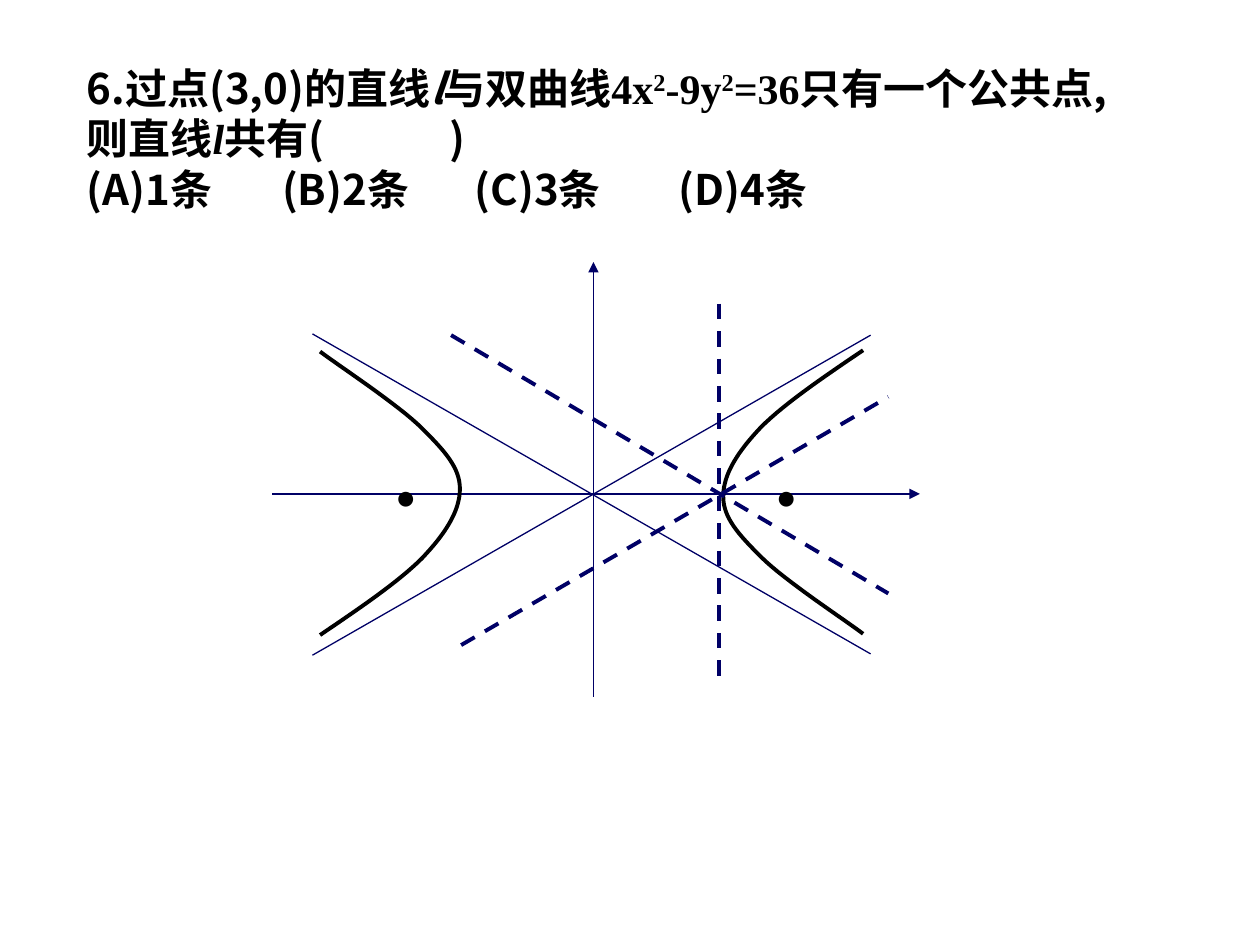
from lxml import etree
from pptx import Presentation
from pptx.dml.color import RGBColor
from pptx.enum.dml import MSO_LINE
from pptx.enum.shapes import MSO_CONNECTOR
from pptx.enum.text import MSO_ANCHOR, MSO_AUTO_SIZE
from pptx.oxml.ns import qn
from pptx.util import Inches, Pt

BLACK = RGBColor(0x00, 0x00, 0x00)
NAVY = RGBColor(0x00, 0x00, 0x66)
STRAIGHT = MSO_CONNECTOR.STRAIGHT
DASH = MSO_LINE.DASH
MIDDLE = MSO_ANCHOR.MIDDLE
FIT_SHAPE = MSO_AUTO_SIZE.SHAPE_TO_FIT_TEXT
SANS = "Noto Sans CJK SC"
SERIF = "Times New Roman"
CALIBRI = "Calibri"

QUESTION = [
    ([], [("6.过点(3,0)的直线", SANS, ""), ("l", SANS, "italic"),
          ("与双曲线", SANS, ""), ("4x", SERIF, ""), ("2", SERIF, "super"),
          ("-9y", SERIF, ""), ("2", SERIF, "super"), ("=36", SERIF, ""),
          ("只有一个公共点,", SANS, "")]),
    ([2.88], [("则直线", SANS, ""), ("l", SERIF, "italic"),
              ("共有(\t)", SANS, "")]),
    ([1.55, 3.08, 4.7], [("(A)1条\t(B)2条\t(C)3条\t(D)4条", SANS, "")]),
]

AXES = [(0, 1.61, 0, -1.84), (-2.55, 0, 2.59, 0)]
ASYMPTOTES = [(-2.23, -1.27, 2.2, 1.27), (2.2, -1.26, -2.23, 1.28)]
CANDIDATES = [(-1.05, 1.2, 2.34, -0.77), (-1.13, -1.26, 2.34, 0.79),
              (1, -1.51, 1, 1.48)]
FOCI = [(-1.67, -0.24, 0.37, 0.5), (1.35, -0.24, 0.43, 0.67)]
RIGHT_BRANCH = [(2.14, -1.14), (1.83, -0.93), (1.52, -0.72), (1.33, -0.53),
                (1.15, -0.34), (1.03, -0.16), (1.03, 0.02),
                (1.03, 0.19), (1.15, 0.32), (1.33, 0.5),
                (1.52, 0.69), (2.01, 1.01), (2.14, 1.11)]
LEFT_BRANCH = [(-0.03 - x, -0.02 - y) for x, y in RIGHT_BRANCH]


def add_span(para, text, font_name, style="", bold=False):
    """Append one formatted run to a paragraph."""
    span = para.add_run()
    span.text = text
    span.font.size = Pt(24)
    span.font.bold = bold
    span.font.italic = style == "italic"
    span.font.color.rgb = BLACK
    span.font.name = font_name
    properties = span.font._element
    etree.SubElement(properties, qn("a:ea")).set("typeface", font_name)
    if style == "super":
        properties.set("baseline", "30000")


def add_tabs(para, stops):
    """Give a paragraph left tab stops, measured in inches."""
    tab_list = etree.SubElement(para._p.get_or_add_pPr(), qn("a:tabLst"))
    for stop in stops:
        tab = etree.SubElement(tab_list, qn("a:tab"))
        tab.set("pos", str(Inches(stop)))
        tab.set("algn", "l")


def add_question(page, left, top, width, height):
    """Write the question and its four answers in the given box."""
    box = page.shapes.add_textbox(left, top, width, height)
    frame = box.text_frame
    frame.word_wrap = False
    frame.auto_size = FIT_SHAPE
    frame.vertical_anchor = MIDDLE
    for index, (stops, spans) in enumerate(QUESTION):
        para = frame.add_paragraph() if index else frame.paragraphs[0]
        if stops:
            add_tabs(para, stops)
        for text, font_name, style in spans:
            add_span(para, text, font_name, style, bold=True)


def add_line(page, origin_x, origin_y, ends, weight, dashed=False, arrow=False):
    """Draw a straight line between two points given from the origin."""
    x1, y1, x2, y2 = (Inches(value) for value in ends)
    line = page.shapes.add_connector(STRAIGHT, origin_x + x1, origin_y + y1,
                                     origin_x + x2, origin_y + y2)
    line.line.color.rgb = NAVY
    line.line.width = Pt(weight)
    if dashed:
        line.line.dash_style = DASH
    if arrow:
        tail = etree.SubElement(line.line._get_or_add_ln(), qn("a:tailEnd"))
        tail.set("type", "triangle")
    etree.SubElement(line._element.spPr, qn("a:effectLst"))


def bezier_points(controls, steps=16):
    """Return points along a chain of cubic curves."""
    points = [controls[0]]
    for start in range(0, len(controls) - 1, 3):
        segment = controls[start:start + 4]
        for step in range(1, steps + 1):
            t = step / steps
            weights = ((1 - t) ** 3, 3 * t * (1 - t) ** 2,
                       3 * t ** 2 * (1 - t), t ** 3)
            points.append(tuple(sum(w * p[axis] for w, p in zip(weights, segment))
                                for axis in (0, 1)))
    return points


def add_branch(page, origin_x, origin_y, controls):
    """Draw one branch of the hyperbola."""
    points = [(origin_x + Inches(x), origin_y + Inches(y))
              for x, y in bezier_points(controls)]
    builder = page.shapes.build_freeform(*points[0])
    builder.add_line_segments(points[1:], close=False)
    branch = builder.convert_to_shape()
    branch.shadow.inherit = False
    branch.fill.background()
    branch.line.color.rgb = BLACK
    branch.line.width = Pt(2.25)


def add_focus(page, left, top, width, height):
    """Mark a focus with a dot."""
    box = page.shapes.add_textbox(left, top, width, height)
    box.text_frame.word_wrap = True
    box.text_frame.auto_size = FIT_SHAPE
    add_span(box.text_frame.paragraphs[0], "•", CALIBRI)


def add_diagram(page, left, top):
    """Draw the hyperbola, its asymptotes and the candidate lines."""
    origin_x, origin_y = left + Inches(2.55), top + Inches(1.84)
    for ends in AXES:
        add_line(page, origin_x, origin_y, ends, 1, arrow=True)
    for x, y, width, height in FOCI:
        add_focus(page, origin_x + Inches(x), origin_y + Inches(y),
                  Inches(width), Inches(height))
    for ends in ASYMPTOTES:
        add_line(page, origin_x, origin_y, ends, 0.75)
    for controls in (RIGHT_BRANCH, LEFT_BRANCH):
        add_branch(page, origin_x, origin_y, controls)
    for ends in CANDIDATES:
        add_line(page, origin_x, origin_y, ends, 2.25, dashed=True)


def main():
    """Build and save the slide."""
    deck = Presentation()
    deck.slide_width, deck.slide_height = Inches(10), Inches(7.5)
    page = deck.slides.add_slide(deck.slide_layouts[6])
    add_question(page, Inches(0.59), Inches(0.44), Inches(8.9), Inches(1.31))
    add_diagram(page, Inches(2.16), Inches(2.08))
    deck.save("out.pptx")


if __name__ == "__main__":
    main()
